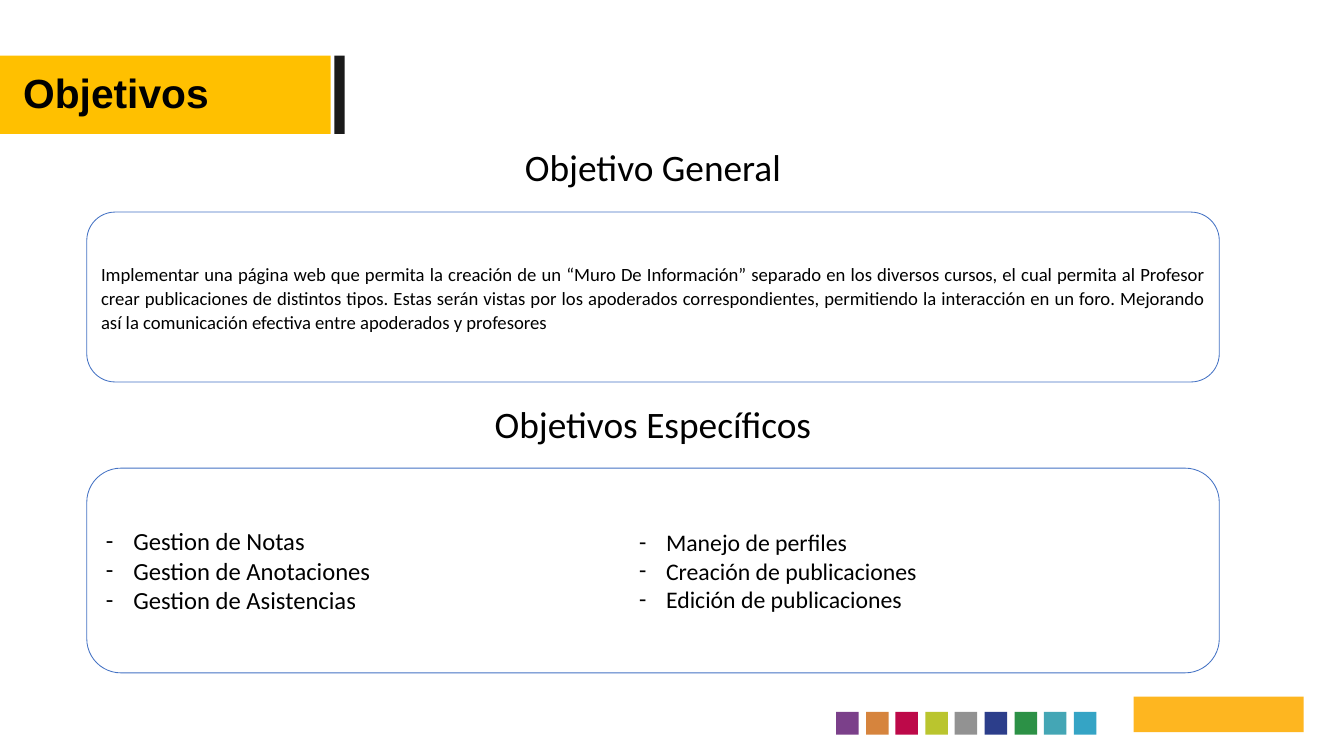
from pptx import Presentation
from pptx.dml.color import RGBColor
from pptx.enum.shapes import MSO_SHAPE
from pptx.enum.text import MSO_ANCHOR, PP_ALIGN
from pptx.oxml import parse_xml
from pptx.oxml.ns import nsdecls
from pptx.util import Pt

PX = 9144
AMBER = RGBColor(0xFF, 0xC0, 0x00)
CHARCOAL = RGBColor(0x1A, 0x1A, 0x1A)
LOGO_YELLOW = RGBColor(0xFE, 0xB6, 0x20)
BLUE = RGBColor(0x44, 0x72, 0xC4)
WHITE = RGBColor(0xFF, 0xFF, 0xFF)
BLACK = RGBColor(0x00, 0x00, 0x00)
SWATCHES = [RGBColor.from_string(code) for code in (
    "7B408A", "D6843D", "BD0949", "BAC52E", "929292",
    "2C3E8B", "2C9146", "44A6B5", "35A4C5")]

GENERAL_GOAL = (
    "Implementar una página web que permita la creación de un “Muro De Información” "
    "separado en los diversos cursos, el cual permita al Profesor crear publicaciones "
    "de distintos tipos. Estas serán vistas por los apoderados correspondientes, "
    "permitiendo la interacción en un foro. Mejorando así la comunicación efectiva "
    "entre apoderados y profesores")
MANAGEMENT_GOALS = ["Gestion de Notas", "Gestion de Anotaciones", "Gestion de Asistencias"]
PUBLISHING_GOALS = ["Manejo de perfiles", "Creación de publicaciones", "Edición de publicaciones"]


def emu(*lengths):
    """Turn px lengths into EMU."""
    return [length * PX for length in lengths]


def add_block(page, kind, box, fill, line=None):
    """Add a flat shape with an optional outline."""
    block = page.shapes.add_shape(kind, *emu(*box))
    block.shadow.inherit = False
    block.fill.solid()
    block.fill.fore_color.rgb = fill
    if line is None:
        block.line.fill.background()
    else:
        block.line.color.rgb = line
        block.line.width = Pt(1)
    return block


def set_margins(frame, horizontal, vertical):
    """Wrap the text and set its insets in px."""
    frame.word_wrap = True
    frame.margin_left = frame.margin_right = horizontal * PX
    frame.margin_top = frame.margin_bottom = vertical * PX


def write(frame, lines, size, align=PP_ALIGN.LEFT, font="Calibri", bold=False):
    """Fill a text frame with evenly formatted paragraphs."""
    frame.text = "\n".join(lines)
    for para in frame.paragraphs:
        para.alignment = align
        for span in para.runs:
            span.font.name = font
            span.font.size = Pt(size)
            span.font.bold = bold
            span.font.color.rgb = BLACK


def add_dashes(frame, hang):
    """Give every paragraph a hanging dash."""
    for para in frame.paragraphs:
        properties = para._p.get_or_add_pPr()
        properties.set("marL", str(50 * PX))
        properties.set("indent", str(-hang * PX))
        for markup in (f'<a:buClr {nsdecls("a")}><a:srgbClr val="{BLACK}"/></a:buClr>',
                       f'<a:buFont {nsdecls("a")} typeface="Calibri"/>',
                       f'<a:buChar {nsdecls("a")} char="-"/>'):
            properties.append(parse_xml(markup))


def add_header(page, box):
    """Place the amber band, its dark bar and the slide title in front."""
    left, top, width, height = box
    band = add_block(page, MSO_SHAPE.RECTANGLE, box, AMBER)
    add_block(page, MSO_SHAPE.RECTANGLE, (left + width + 6, top, 17, height), CHARCOAL)
    title = page.shapes.title
    band._element.addnext(title._element)
    title.left, title.top, title.width, title.height = emu(left + 38, top + 20, width - 66, 81)
    frame = title.text_frame
    set_margins(frame, 0, 0)
    frame.vertical_anchor = MSO_ANCHOR.TOP
    write(frame, ["Objetivos"], 48, font="Arial", bold=True)


def add_heading(page, box, text):
    """Place a centred section heading."""
    frame = page.shapes.add_textbox(*emu(*box)).text_frame
    set_margins(frame, 10, 5)
    write(frame, [text], 44, PP_ALIGN.CENTER)


def add_panel(page, box):
    """Add a rounded outlined panel and return its text frame."""
    panel = add_block(page, MSO_SHAPE.ROUNDED_RECTANGLE, box, WHITE, BLUE)
    frame = panel.text_frame
    set_margins(frame, 10, 5)
    frame.vertical_anchor = MSO_ANCHOR.MIDDLE
    return frame


def add_general_goal(page, box):
    """Place the general goal in its panel."""
    frame = add_panel(page, box)
    write(frame, [GENERAL_GOAL], 22, PP_ALIGN.JUSTIFY)
    para = frame.paragraphs[0]
    para.line_spacing = 1.08
    para.space_after = Pt(8)


def add_specific_goals(page, box):
    """Place the specific goals in two columns of one panel."""
    left, top, width, height = box
    frame = add_panel(page, box)
    write(frame, MANAGEMENT_GOALS, 29)
    add_dashes(frame, 45)
    column = page.shapes.add_textbox(*emu(left + 888, top, width - 888, height))
    frame = column.text_frame
    set_margins(frame, 10, 10)
    frame.vertical_anchor = MSO_ANCHOR.MIDDLE
    write(frame, PUBLISHING_GOALS, 28)
    add_dashes(frame, 44)


def add_footer(page, box):
    """Place the row of colour squares and the logo block."""
    left, top, width, height = box
    side = 37
    pitch = (426 - side) / (len(SWATCHES) - 1)
    for index, color in enumerate(SWATCHES):
        square = (left + round(index * pitch), top + 25, side, side)
        add_block(page, MSO_SHAPE.RECTANGLE, square, color)
    add_block(page, MSO_SHAPE.RECTANGLE, (left + width - 278, top, 278, height - 4), LOGO_YELLOW)


def main():
    """Build the objectives slide."""
    deck = Presentation()
    deck.slide_width, deck.slide_height = emu(2199, 1237)
    page = deck.slides.add_slide(deck.slide_layouts[5])
    add_header(page, (0, 91, 541, 128))
    add_heading(page, (38, 231, 2061, 84), "Objetivo General")
    add_general_goal(page, (142, 347, 1853, 278))
    add_heading(page, (38, 651, 2061, 84), "Objetivos Específicos")
    add_specific_goals(page, (142, 766, 1853, 335))
    add_footer(page, (1368, 1140, 765, 62))
    deck.save("out.pptx")


if __name__ == "__main__":
    main()
